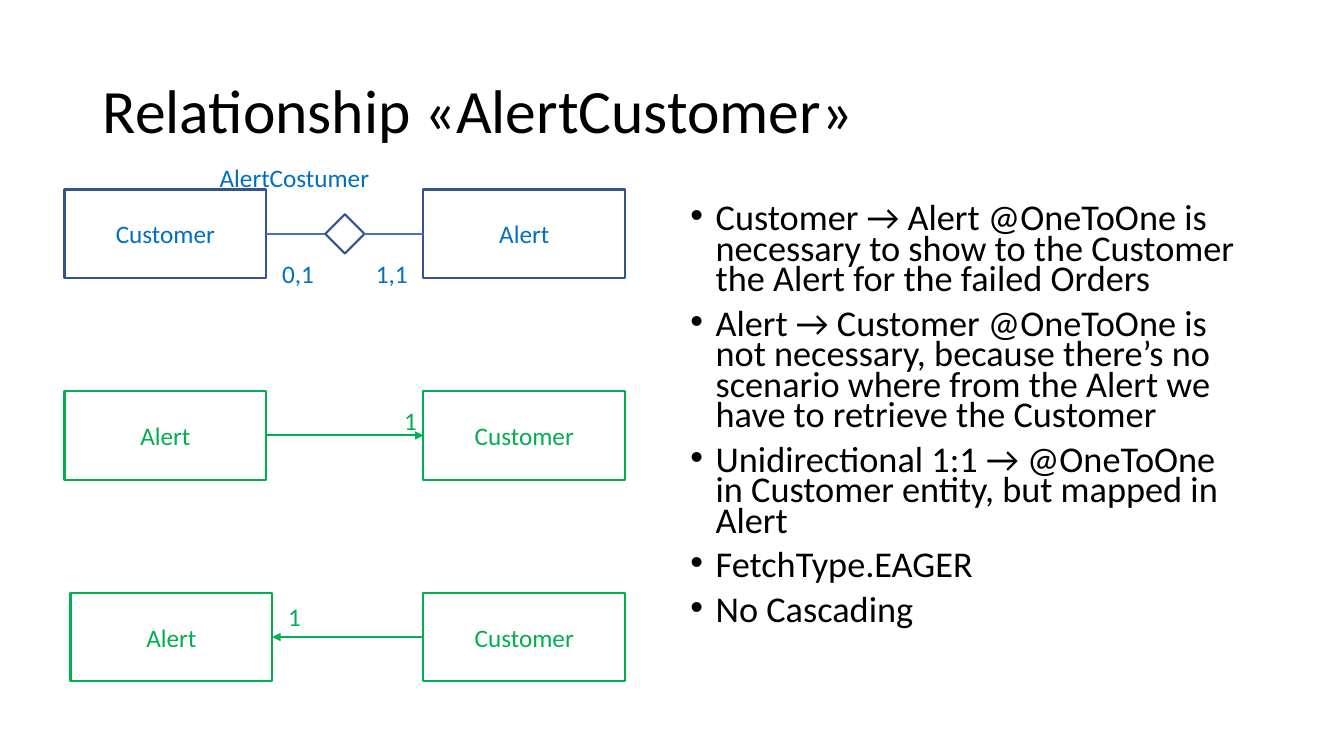
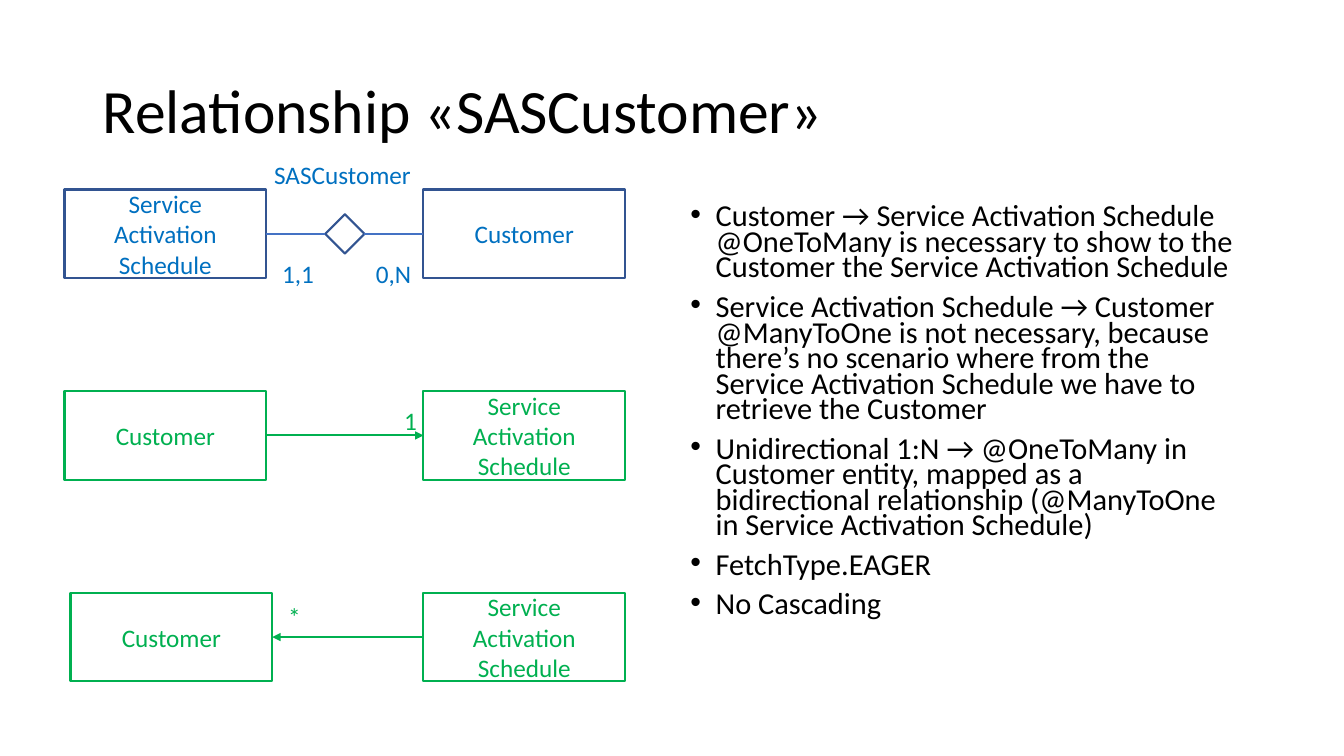
from lxml.etree import SubElement
from pptx import Presentation
from pptx.dml.color import RGBColor
from pptx.enum.shapes import MSO_CONNECTOR as Connector, MSO_SHAPE as Shape
from pptx.enum.text import MSO_ANCHOR as Anchor, MSO_AUTO_SIZE as AutoSize, PP_ALIGN as Align
from pptx.oxml.ns import qn
from pptx.util import Inches, Pt

FONT = "Calibri"
BLACK, BLUE, NAVY, LINK, GREEN = "000000", "0070C0", "325491", "4472C4", "00B050"
BOX_WIDTH, BOX_HEIGHT = 2, 0.88
LEFT, LEFT_LAST, RIGHT = 0.64, 0.7, 4.2
FIRST_ROW, ROW_STEP = 1.88, 2
DIAMOND = 0.39
LABEL_HEIGHT = 0.4

SLIDES = [
    {
        "title": "Relationship «AlertCustomer»",
        "relation": ("AlertCostumer", 2.08, 1.56, 3.08),
        "entities": ("Customer", "Alert"),
        "cardinalities": (("0,1", 0.52), ("1,1", 0.52)),
        "ends": ("1", "1"),
        "size": 25.9,
        "bullets": [
            "Customer → Alert @OneToOne is necessary to show to the Customer the Alert for the failed Orders",
            "Alert → Customer @OneToOne is not necessary, because there’s no scenario where from the Alert "
            "we have to retrieve the Customer",
            "Unidirectional 1:1 → @OneToOne in Customer entity, but mapped in Alert",
            "FetchType.EAGER",
            "No Cascading",
        ],
    },
    {
        "title": "Relationship «SASCustomer»",
        "relation": ("SASCustomer", 2.62, 1.53, 1.61),
        "entities": ("Service Activation Schedule", "Customer"),
        "cardinalities": (("1,1", 0.52), ("0,N", 0.56)),
        "ends": ("1", "*"),
        "size": 21.7,
        "bullets": [
            "Customer → Service Activation Schedule @OneToMany is necessary to show to the Customer "
            "the Service Activation Schedule",
            "Service Activation Schedule → Customer @ManyToOne is not necessary, because there’s no scenario "
            "where from the Service Activation Schedule we have to retrieve the Customer",
            "Unidirectional 1:N → @OneToMany in Customer entity, mapped as a bidirectional relationship "
            "(@ManyToOne in Service Activation Schedule)",
            "FetchType.EAGER",
            "No Cascading",
        ],
    },
]


def rgb(value):
    return RGBColor.from_string(value)


def format_text(paragraph, size, color):
    for run in paragraph.runs:
        run.font.name = FONT
        run.font.size = Pt(size)
        run.font.color.rgb = rgb(color)


def add_text(slide, text, left, top, width, height, size, color, wrap=True):
    box = slide.shapes.add_textbox(Inches(left), Inches(top), Inches(width), Inches(height))
    frame = box.text_frame
    frame.text = text
    frame.word_wrap = wrap
    for paragraph in frame.paragraphs:
        format_text(paragraph, size, color)
    return frame


def add_label(slide, text, left, top, width, color, wrap=False):
    frame = add_text(slide, text, left, top, width, LABEL_HEIGHT, 18, color, wrap)
    frame.auto_size = AutoSize.SHAPE_TO_FIT_TEXT


def add_outline(slide, kind, left, top, width, height, color):
    shape = slide.shapes.add_shape(kind, Inches(left), Inches(top), Inches(width), Inches(height))
    shape.shadow.inherit = False
    shape.fill.background()
    shape.line.color.rgb = rgb(color)
    shape.line.width = Pt(1.5)
    return shape


def add_entity(slide, name, left, top, line_color, text_color):
    frame = add_outline(slide, Shape.RECTANGLE, left, top, BOX_WIDTH, BOX_HEIGHT, line_color).text_frame
    frame.text = name
    frame.word_wrap = True
    frame.vertical_anchor = Anchor.MIDDLE
    frame.paragraphs[0].alignment = Align.CENTER
    format_text(frame.paragraphs[0], 18, text_color)


def add_line(slide, start, end, y, color, arrow=False):
    line = slide.shapes.add_connector(Connector.STRAIGHT, Inches(start), Inches(y), Inches(end), Inches(y))
    line.line.color.rgb = rgb(color)
    line.line.width = Pt(1.5)
    if arrow:
        SubElement(line.line._get_or_add_ln(), qn("a:tailEnd"), type="triangle")
    SubElement(line._element.spPr, qn("a:effectLst"))


def add_title(slide, title):
    frame = add_text(slide, title, 0.92, 0.4, 11.5, 1.45, 44, BLACK)
    frame.vertical_anchor = Anchor.MIDDLE
    frame.paragraphs[0].line_spacing = 0.9


def add_bullets(slide, bullets, size):
    frame = add_text(slide, "\n".join(bullets), 6.75, 2, 5.67, 4.76, size, BLACK)
    for paragraph in frame.paragraphs:
        paragraph.line_spacing = 0.7
        paragraph.space_before = Pt(10)
        properties = paragraph._p.get_or_add_pPr()
        properties.set("marL", str(Inches(0.25)))
        properties.set("indent", str(-Inches(0.25)))
        SubElement(properties, qn("a:buFont"), typeface="Arial")
        SubElement(properties, qn("a:buChar"), char="•")


def add_diagram(slide, content):
    first, second = content["entities"]
    rows = [
        (first, second, LEFT, NAVY, BLUE),
        (second, first, LEFT, GREEN, GREEN),
        (second, first, LEFT_LAST, GREEN, GREEN),
    ]
    for index, (left_name, right_name, left, line_color, text_color) in enumerate(rows):
        top = FIRST_ROW + index * ROW_STEP
        add_entity(slide, right_name, RIGHT, top, line_color, text_color)
        add_entity(slide, left_name, left, top, line_color, text_color)

    relation_y, forward_y, backward_y = [FIRST_ROW + BOX_HEIGHT / 2 + index * ROW_STEP for index in range(3)]
    left_edge = LEFT + BOX_WIDTH
    diamond_left = (left_edge + RIGHT - DIAMOND) / 2
    add_outline(slide, Shape.DIAMOND, diamond_left, relation_y - DIAMOND / 2, DIAMOND, DIAMOND, NAVY)
    add_line(slide, left_edge, diamond_left, relation_y, LINK)
    add_line(slide, diamond_left + DIAMOND, RIGHT, relation_y, LINK)
    for (text, width), left in zip(content["cardinalities"], (2.7, 3.63)):
        add_label(slide, text, left, 2.51, width, BLUE)
    add_label(slide, *content["relation"], BLUE, wrap=True)

    forward_end, backward_end = content["ends"]
    add_line(slide, left_edge, RIGHT, forward_y, GREEN, arrow=True)
    add_label(slide, forward_end, 3.91, 3.97, 0.33, GREEN)
    add_line(slide, RIGHT, LEFT_LAST + BOX_WIDTH, backward_y, GREEN, arrow=True)
    add_label(slide, backward_end, 2.76, 5.92, 0.33, GREEN)


def main():
    presentation = Presentation()
    presentation.slide_width = Inches(13.33)
    presentation.slide_height = Inches(7.5)
    for content in SLIDES:
        slide = presentation.slides.add_slide(presentation.slide_layouts[6])
        add_title(slide, content["title"])
        add_bullets(slide, content["bullets"], content["size"])
        add_diagram(slide, content)
    presentation.save("out.pptx")


if __name__ == "__main__":
    main()
